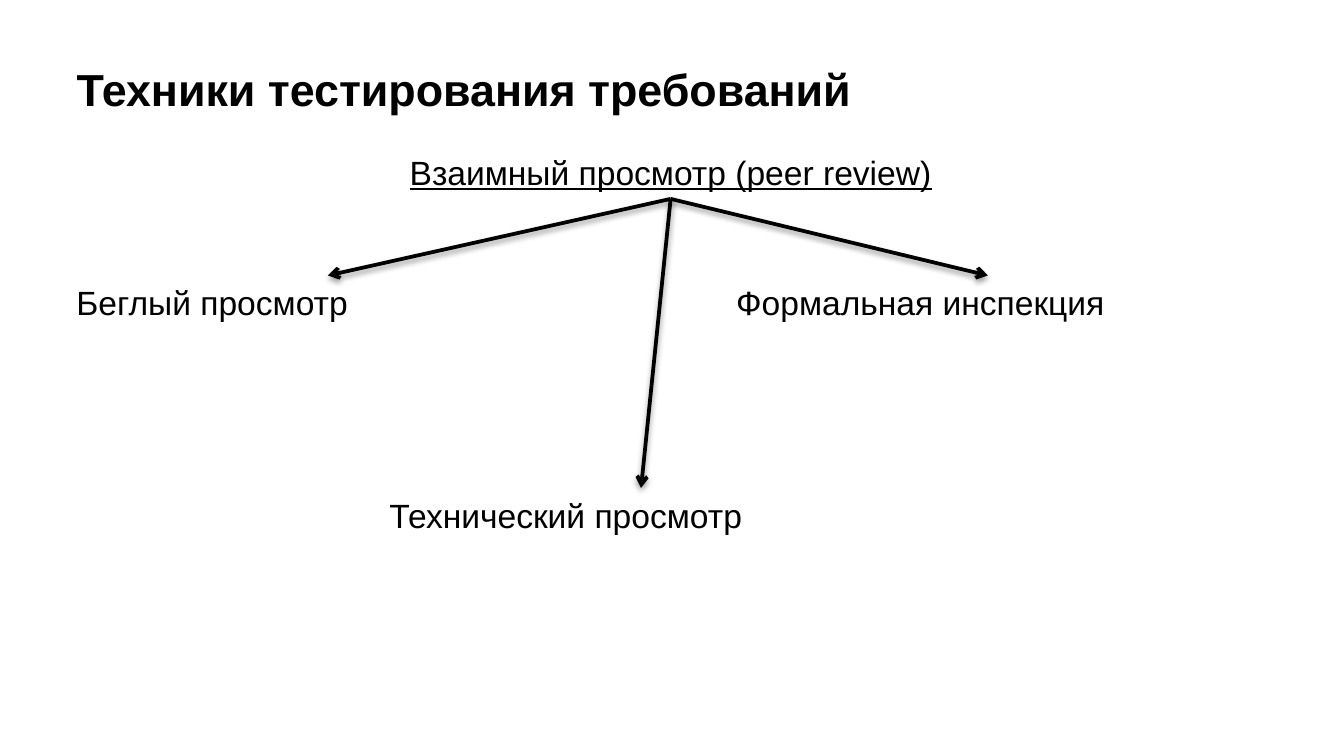
from lxml.etree import SubElement
from pptx import Presentation
from pptx.dml.color import RGBColor
from pptx.enum.shapes import MSO_CONNECTOR
from pptx.enum.text import MSO_ANCHOR, MSO_AUTO_SIZE, PP_ALIGN
from pptx.oxml.ns import qn
from pptx.util import Inches, Pt

COLORS = {"background": "FFFFFF", "text": "000000", "arrow": "000000"}
BOTTOM, TOP = 2, 0


def write_text(shape, text, size=18, bold=False, underline=False,
               align=PP_ALIGN.LEFT, wrap=True):
    frame = shape.text_frame
    frame.text = text
    frame.word_wrap = wrap
    frame.auto_size = MSO_AUTO_SIZE.SHAPE_TO_FIT_TEXT
    frame.vertical_anchor = MSO_ANCHOR.TOP
    paragraph = frame.paragraphs[0]
    paragraph.alignment = align
    font = paragraph.runs[0].font
    font.name = "Arial"
    font.size = Pt(size)
    font.bold = bold
    font.underline = underline
    font.color.rgb = RGBColor.from_string(COLORS["text"])


def add_arrow(slide, start, end):
    connector = slide.shapes.add_connector(MSO_CONNECTOR.STRAIGHT, 0, 0, 0, 0)
    connector.begin_connect(start, BOTTOM)
    connector.end_connect(end, TOP)
    connector.line.width = Pt(2)
    connector.line.color.rgb = RGBColor.from_string(COLORS["arrow"])
    properties = connector._element.spPr
    SubElement(properties.find(qn("a:ln")), qn("a:tailEnd"), type="arrow")
    # Soft shadow straight below the line
    effects = SubElement(properties, qn("a:effectLst"))
    shadow = SubElement(effects, qn("a:outerShdw"), blurRad="40000",
                        dist="20000", dir="5400000", rotWithShape="0")
    color = SubElement(shadow, qn("a:srgbClr"), val=COLORS["arrow"])
    SubElement(color, qn("a:alpha"), val="38000")


# Slide in 16:9 format
presentation = Presentation()
presentation.slide_width = Inches(10)
presentation.slide_height = Inches(10 * 9 / 16)
slide = presentation.slides.add_slide(presentation.slide_layouts[5])
slide.background.fill.solid()
slide.background.fill.fore_color.rgb = RGBColor.from_string(COLORS["background"])

# Title
title = slide.shapes.title
title.left, title.top = Inches(0.47), Inches(0.41)
title.width, title.height = Inches(6.06), Inches(0.5)
write_text(title, "Техники тестирования требований", size=24, bold=True, wrap=False)

# Root of the tree
root = slide.shapes.add_textbox(Inches(0.3), Inches(1.08), Inches(9.38), Inches(0.4))
write_text(root, "Взаимный просмотр (peer review)", underline=True,
           align=PP_ALIGN.CENTER)

# Kinds of review
kinds = [
    ("Беглый просмотр", 0.47, 2.05),
    ("Технический просмотр", 2.8, 3.63),
    ("Формальная инспекция", 5.38, 2.05),
]
kind_boxes = []
for text, left, top in kinds:
    box = slide.shapes.add_textbox(Inches(left), Inches(top), Inches(3.94), Inches(0.4))
    write_text(box, text)
    kind_boxes.append(box)

# Arrows from the root to each kind
for box in kind_boxes:
    add_arrow(slide, root, box)

presentation.save("out.pptx")
